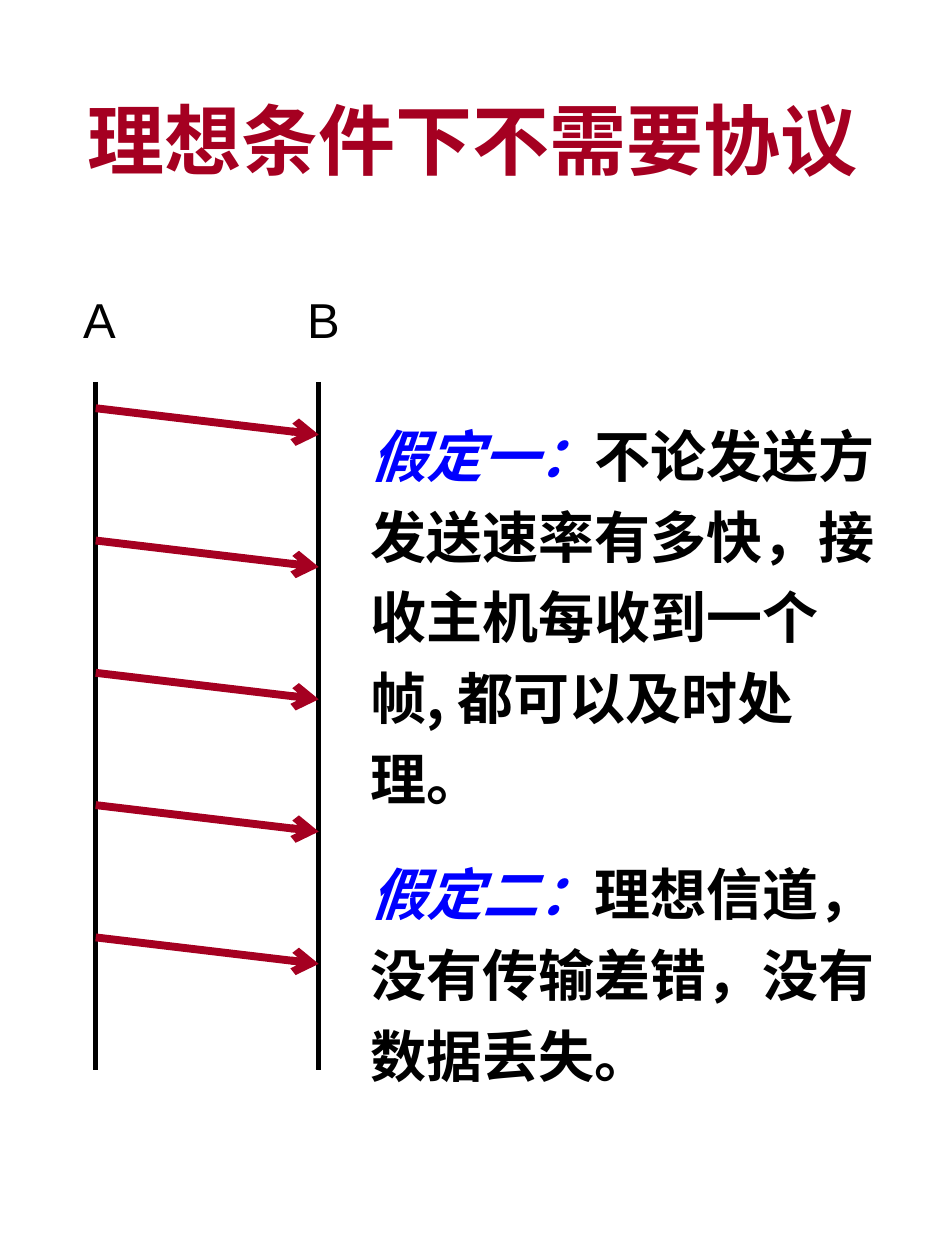
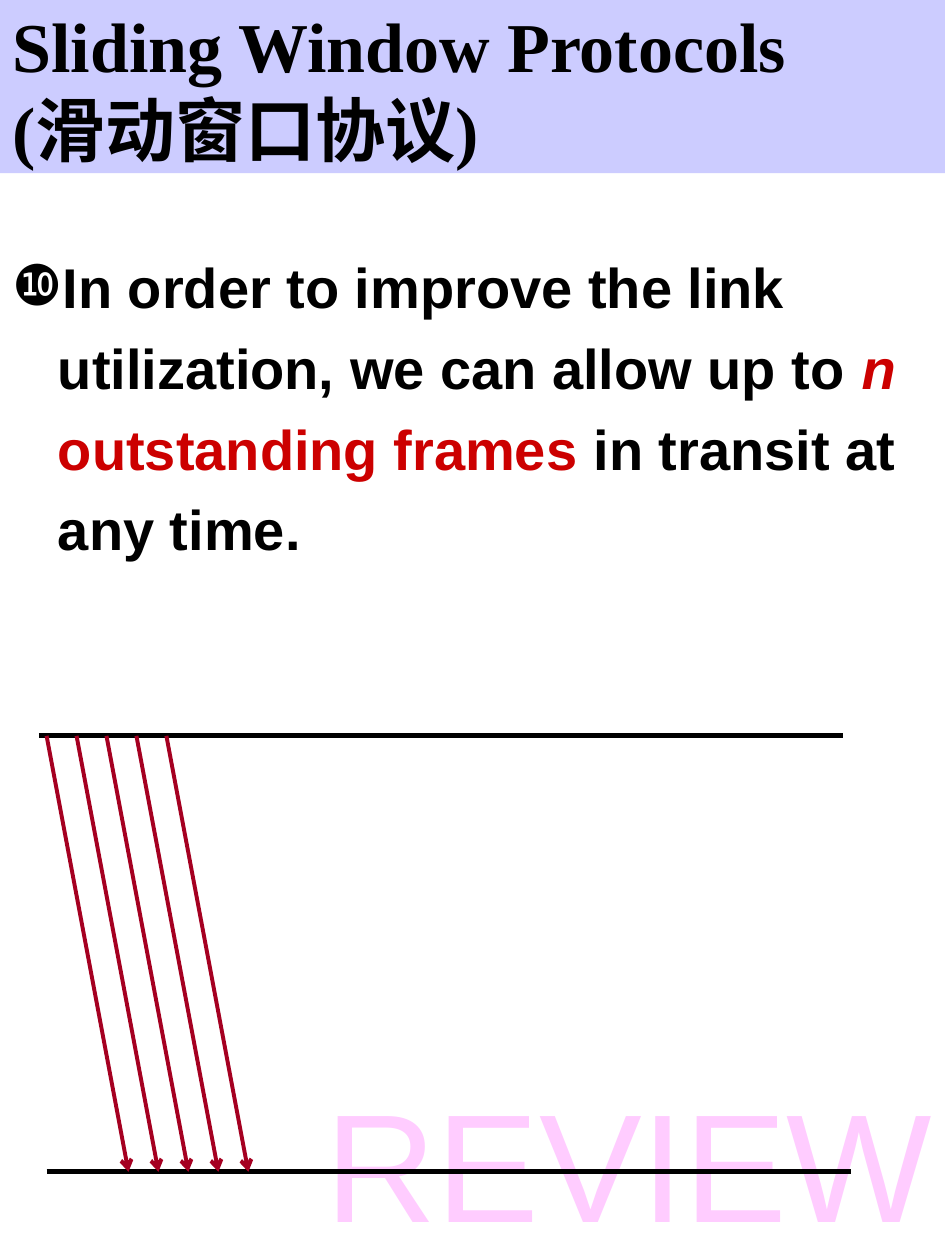
from dataclasses import dataclass

from lxml import etree
from pptx import Presentation
from pptx.dml.color import RGBColor
from pptx.enum.shapes import MSO_CONNECTOR
from pptx.enum.text import MSO_ANCHOR, MSO_AUTO_SIZE, PP_ALIGN
from pptx.oxml.ns import qn
from pptx.util import Inches, Pt

STRAIGHT = MSO_CONNECTOR.STRAIGHT
LEFT, CENTER, RIGHT = PP_ALIGN.LEFT, PP_ALIGN.CENTER, PP_ALIGN.RIGHT
TOP, MIDDLE, BOTTOM = MSO_ANCHOR.TOP, MSO_ANCHOR.MIDDLE, MSO_ANCHOR.BOTTOM

WIDTH, HEIGHT = Inches(7.5), Inches(10)
CONTENT_LAYOUT, TITLE_ONLY_LAYOUT = 1, 5

BLACK, CRIMSON, RED, BLUE = "000000", "A50021", "CC0000", "0000FF"
BAND, PINK = "CCCCFF", "FFCCFF"
SANS, SERIF, CHINESE = "Arial", "Times New Roman", "Noto Sans CJK SC"
BODY_SPACING = 1.2
MESSAGE_COUNT = 5


@dataclass(frozen=True)
class Area:
    """A rectangle in percent of the slide's width and height."""
    left: float
    top: float
    width: float
    height: float


@dataclass(frozen=True)
class Stroke:
    color: str
    points: float
    arrow: bool = False


@dataclass(frozen=True)
class Style:
    size: float
    font: str = SANS
    bold: bool = True


@dataclass(frozen=True)
class Span:
    text: str
    color: str = BLACK
    italic: bool = False


AXIS = Stroke(BLACK, 3)


def across(percent: float) -> int:
    return round(WIDTH * percent / 100)


def down(percent: float) -> int:
    return round(HEIGHT * percent / 100)


def rgb(color: str) -> RGBColor:
    return RGBColor.from_string(color)


# Shared drawing functions
def place(box, area: Area) -> None:
    box.left, box.top = across(area.left), down(area.top)
    box.width, box.height = across(area.width), down(area.height)


def setup_frame(box, anchor, wrap: bool = True):
    frame = box.text_frame
    frame.word_wrap = wrap
    frame.auto_size = MSO_AUTO_SIZE.NONE
    frame.vertical_anchor = anchor
    return frame


def add_spans(para, spans: list[Span], style: Style, align=LEFT) -> None:
    para.alignment = align
    for span in spans:
        run = para.add_run()
        run.text = span.text
        font = run.font
        font.name, font.size = style.font, Pt(style.size)
        font.bold, font.italic = style.bold, span.italic
        font.color.rgb = rgb(span.color)
        east_asian = etree.SubElement(run._r.get_or_add_rPr(), qn("a:ea"))
        east_asian.set("typeface", CHINESE)


def set_title(page, area: Area, lines: list[Span], style: Style, align):
    title = page.shapes.title
    place(title, area)
    para = setup_frame(title, MIDDLE).paragraphs[0]
    for number, line in enumerate(lines):
        if number:
            para.add_line_break()
        add_spans(para, [line], style, align)
    return title


def add_label(page, area: Area, span: Span, style: Style,
              align=LEFT, anchor=TOP, wrap: bool = False) -> None:
    box = page.shapes.add_textbox(0, 0, 0, 0)
    place(box, area)
    frame = setup_frame(box, anchor, wrap)
    add_spans(frame.paragraphs[0], [span], style, align)


def add_line(page, start: tuple[float, float], end: tuple[float, float],
             stroke: Stroke) -> None:
    line = page.shapes.add_connector(STRAIGHT, across(start[0]), down(start[1]),
                                     across(end[0]), down(end[1]))
    line.line.color.rgb = rgb(stroke.color)
    line.line.width = Pt(stroke.points)
    if stroke.arrow:
        tail = etree.SubElement(line.line._get_or_add_ln(), qn("a:tailEnd"))
        tail.set("type", "arrow")
    etree.SubElement(line._element.spPr, qn("a:effectLst"))


def set_bullet(para, symbol: str, indent: int) -> None:
    properties = para._p.get_or_add_pPr()
    properties.set("marL", str(indent))
    properties.set("indent", str(-indent))
    color = etree.SubElement(properties, qn("a:buClr"))
    etree.SubElement(color, qn("a:srgbClr")).set("val", BLACK)
    etree.SubElement(properties, qn("a:buChar")).set("char", symbol)


# Slide 1: an ideal channel between two hosts
def build_ideal_channel(deck) -> None:
    page = deck.slides.add_slide(deck.slide_layouts[TITLE_ONLY_LAYOUT])
    set_title(page, Area(0, 2.75, 100, 16.5),
              [Span("理想条件下不需要协议", CRIMSON)], Style(44), CENTER)

    sender, receiver = 10.13, 33.73
    for host in (sender, receiver):
        add_line(page, (host, 30.3), (host, 84.9), AXIS)

    first, pitch, delay = 32.4, 10.5, 2.1
    for number in range(MESSAGE_COUNT):
        sent = first + number * pitch
        add_line(page, (sender, sent), (receiver, sent + delay),
                 Stroke(CRIMSON, 4.5, arrow=True))

    for name, left in (("A", 7.5), ("B", 31.2)):
        add_label(page, Area(left, 22.5, 6.13, 5.7), Span(name),
                  Style(28, bold=False))

    # Assumptions beside the diagram
    assumptions = [
        [Span("假定一：", BLUE, True),
         Span("不论发送方发送速率有多快，接收主机每收到一个帧, 都可以及时处理。")],
        [Span("假定二：", BLUE, True),
         Span("理想信道，没有传输差错，没有数据丢失。")],
    ]
    box = page.shapes.add_textbox(0, 0, 0, 0)
    place(box, Area(37.87, 31.9, 57.87, 55))
    frame = setup_frame(box, TOP)
    for number, spans in enumerate(assumptions):
        para = frame.add_paragraph() if number else frame.paragraphs[0]
        para.line_spacing = BODY_SPACING
        para.space_before = Pt(20 if number else 0)
        # Keep punctuation inside the right margin
        para._p.get_or_add_pPr().set("hangingPunct", "0")
        add_spans(para, spans, Style(32, CHINESE))


# Slide 2: several frames in transit
def build_sliding_window(deck) -> None:
    page = deck.slides.add_slide(deck.slide_layouts[CONTENT_LAYOUT])
    title = set_title(page, Area(0, 0, 100, 13.75),
                      [Span("Sliding Window Protocols "), Span("(滑动窗口协议)")],
                      Style(40, SERIF), LEFT)
    title.fill.solid()
    title.fill.fore_color.rgb = rgb(BAND)
    title.text_frame.paragraphs[0].line_spacing = Pt(48)

    body = page.placeholders[1]
    place(body, Area(0, 18.5, 100, 40.9))
    para = setup_frame(body, TOP).paragraphs[0]
    para.line_spacing = BODY_SPACING
    para.space_before = Pt(0)
    set_bullet(para, "❿", Inches(0.36))
    add_spans(para, [
        Span("In order to improve the link utilization, we can allow up to "),
        Span("n ", RED, True),
        Span("outstanding frames", RED),
        Span(" in transit at any time."),
    ], Style(32))

    add_label(page, Area(30.67, 84.3, 69.33, 15.7), Span("REVIEW", PINK),
              Style(88, bold=False), RIGHT, BOTTOM, wrap=True)

    # Time lines and the frames sent between them
    sending, receiving, length = 58.4, 93, 85.07
    for left, level in ((4.13, sending), (4.93, receiving)):
        add_line(page, (left, level), (left + length, level), AXIS)
    first, pitch, delay = 4.93, 3.17, 8.67
    for number in range(MESSAGE_COUNT):
        sent = first + number * pitch
        add_line(page, (sent, sending), (sent + delay, receiving),
                 Stroke(CRIMSON, 2.25, arrow=True))


def main() -> None:
    deck = Presentation()
    deck.slide_width, deck.slide_height = WIDTH, HEIGHT
    build_ideal_channel(deck)
    build_sliding_window(deck)
    deck.save("out.pptx")


if __name__ == "__main__":
    main()
